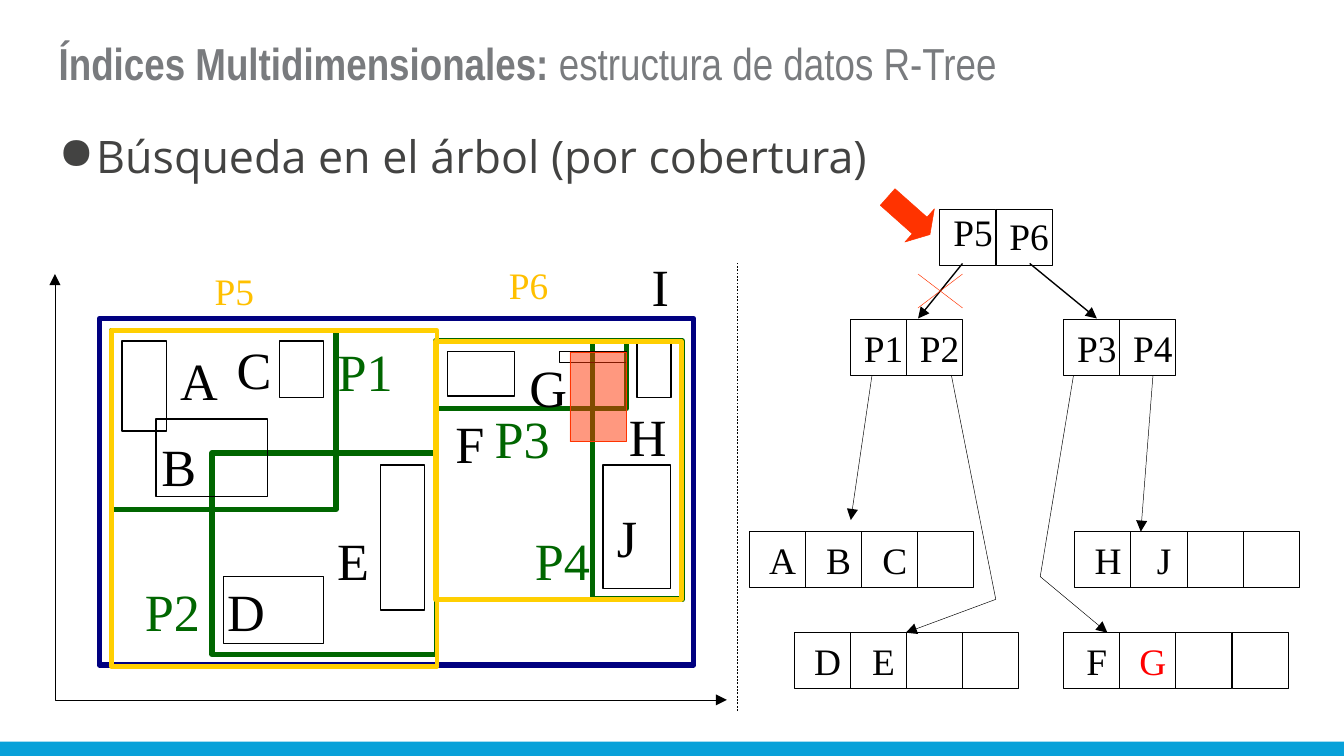
import itertools
from dataclasses import dataclass

import pptx
import pptx.dml.color
import pptx.enum.dml
import pptx.enum.shapes
import pptx.enum.text
import pptx.oxml.ns
import pptx.util
from lxml import etree

Cm, Pt = pptx.util.Cm, pptx.util.Pt
qn = pptx.oxml.ns.qn
Shape = pptx.enum.shapes.MSO_SHAPE


@dataclass(frozen=True)
class Theme:
    title_grey: str = "797B7E"
    body_grey: str = "434342"
    black: str = "000000"
    green: str = "006600"
    navy: str = "000080"
    yellow: str = "FFCF01"
    amber: str = "FFC000"
    orange: str = "FF3300"
    red: str = "FF0000"
    footer_blue: str = "08A1D9"
    title_font: str = "Arial Narrow"
    body_font: str = "Open Sans"
    label_font: str = "Times New Roman"
    heading_size: int = 24
    key_size: int = 20
    region_size: int = 28
    hairline: float = 0.25
    thin: float = 0.75
    medium: float = 2.5
    thick: float = 3


THEME = Theme()
CELL = 1.06  # side of a tree node cell, cm
GLYPH_WIDTHS = {"A": 0.72, "B": 0.67, "C": 0.67, "D": 0.72, "E": 0.61, "F": 0.56,
                "G": 0.72, "H": 0.72, "I": 0.33, "J": 0.39, "P": 0.56}
DIGIT_WIDTH = 0.5


def rgb(color):
    return pptx.dml.color.RGBColor.from_string(color)


def add_text(paragraph, text, *, size, font, color, bold=False):
    run = paragraph.add_run()
    run.text = text
    run.font.size = Pt(size)
    run.font.name = font
    run.font.bold = bold
    run.font.color.rgb = rgb(color)


class Diagram:
    def __init__(self, slide, theme):
        self.slide = slide
        self.theme = theme

    def style_line(self, line, color, width):
        line.color.rgb = rgb(color)
        line.width = Pt(width)

    def add_arrowheads(self, line, ends):
        for end in ends:
            etree.SubElement(line._get_or_add_ln(), qn(f"a:{end}"), type="triangle")

    def shape(self, left, top, width, height, *, kind=Shape.RECTANGLE,
              fill=None, line=None, weight=THEME.hairline):
        shape = self.slide.shapes.add_shape(kind, Cm(left), Cm(top), Cm(width), Cm(height))
        shape.shadow.inherit = False
        if fill:
            shape.fill.solid()
            shape.fill.fore_color.rgb = rgb(fill)
        else:
            shape.fill.background()
        if line:
            self.style_line(shape.line, line, weight)
        else:
            shape.line.fill.background()
        return shape

    def line(self, start, end, *, color=THEME.black, weight=THEME.hairline,
             dash=None, ends=()):
        connector = self.slide.shapes.add_connector(
            pptx.enum.shapes.MSO_CONNECTOR.STRAIGHT, *map(Cm, start + end))
        etree.SubElement(connector._element.spPr, qn("a:effectLst"))
        self.style_line(connector.line, color, weight)
        if dash:
            connector.line.dash_style = dash
        self.add_arrowheads(connector.line, ends)

    def polyline(self, start, *points, ends=("tailEnd",)):
        builder = self.slide.shapes.build_freeform(*map(Cm, start))
        builder.add_line_segments([tuple(map(Cm, point)) for point in points], close=False)
        bend = builder.convert_to_shape()
        bend.shadow.inherit = False
        bend.fill.background()
        self.style_line(bend.line, self.theme.black, self.theme.hairline)
        self.add_arrowheads(bend.line, ends)

    def text_box(self, left, top, width, height, *, margins=(0.25, 0.25), wrap=True):
        box = self.slide.shapes.add_textbox(Cm(left), Cm(top), Cm(width), Cm(height))
        frame = box.text_frame
        frame.word_wrap = wrap
        frame.margin_left = frame.margin_right = Cm(margins[0])
        frame.margin_top = frame.margin_bottom = Cm(margins[1])
        return frame

    def label(self, text, x, y, *, size, color=THEME.black):
        """Place text in a box that fits it, centred on x, y."""
        em = size / 72 * 2.54
        width = em * sum(GLYPH_WIDTHS.get(glyph, DIGIT_WIDTH) for glyph in text) + 0.5
        height = em * 1.2 + 0.25
        frame = self.text_box(x - width / 2, y - height / 2, width, height,
                              margins=(0.25, 0.13), wrap=False)
        frame.auto_size = pptx.enum.text.MSO_AUTO_SIZE.SHAPE_TO_FIT_TEXT
        frame.vertical_anchor = pptx.enum.text.MSO_ANCHOR.MIDDLE
        paragraph = frame.paragraphs[0]
        paragraph.alignment = pptx.enum.text.PP_ALIGN.CENTER
        add_text(paragraph, text, size=size, font=self.theme.label_font, color=color)

    def node(self, left, top, keys, slots, *, lifts=(), found=()):
        for slot in range(slots):
            self.shape(left + slot * CELL, top, CELL, CELL, line=self.theme.black)
        for slot, (key, lift) in enumerate(itertools.zip_longest(keys, lifts, fillvalue=0)):
            self.label(key, left + (slot + 0.5) * CELL + 0.1, top + CELL / 2 - lift,
                       size=self.theme.key_size,
                       color=self.theme.red if key in found else self.theme.black)


def main():
    deck = pptx.Presentation()
    deck.slide_width, deck.slide_height = Cm(25.4), Cm(14.29)
    diagram = Diagram(deck.slides.add_slide(deck.slide_layouts[6]), THEME)
    diagram.shape(0, 14.02, 25.4, 0.27, fill=THEME.footer_blue)

    # Title and heading
    title = diagram.text_box(0.86, 0.43, 23.67, 1.75).paragraphs[0]
    title_format = dict(size=THEME.heading_size, font=THEME.title_font, color=THEME.title_grey)
    add_text(title, "Índices Multidimensionales: ", bold=True, **title_format)
    add_text(title, "estructura de datos R-Tree", **title_format)

    heading = diagram.text_box(0.86, 2.18, 23.67, 1.9).paragraphs[0]
    properties = heading._p.get_or_add_pPr()
    properties.set("marL", str(Cm(0.71)))
    properties.set("indent", str(-Cm(0.71)))
    bullet_color = etree.SubElement(properties, qn("a:buClr"))
    etree.SubElement(bullet_color, qn("a:srgbClr"), val=THEME.body_grey)
    etree.SubElement(properties, qn("a:buChar"), char="●")
    heading.space_after = Pt(6)
    add_text(heading, "Búsqueda en el árbol (por cobertura)", size=THEME.heading_size,
             font=THEME.body_font, color=THEME.body_grey)

    # Tree nodes
    diagram.node(17.76, 3.96, ("P5", "P6"), 2, lifts=(0.11, 0.04))
    diagram.node(16.07, 6.03, ("P1", "P2"), 2)
    diagram.node(20.1, 6.03, ("P3", "P4"), 2)
    diagram.node(14.16, 10.05, "ABC", 4)
    diagram.node(15.01, 11.96, "DE", 4)
    diagram.node(20.31, 10.05, "HJ", 4)
    diagram.node(20.1, 11.96, "FG", 4, found="G")

    # Tree links and the arrow that marks the root
    for start, end, weight in (((18.19, 4.98), (17.35, 6.02), THEME.thin),
                               ((19.46, 4.98), (20.73, 6.02), THEME.thin),
                               ((16.48, 7.09), (16.08, 9.83), THEME.hairline),
                               ((21.79, 7.09), (21.56, 10.05), THEME.hairline)):
        diagram.line(start, end, weight=weight, ends=("tailEnd",))
    diagram.polyline((17.98, 7.09), (18.82, 11.33), (17.12, 11.96))
    diagram.polyline((20.29, 7.09), (19.66, 10.9), (20.93, 11.96))
    root_arrow = diagram.shape(16.64, 3.66, 1.07, 0.84, kind=Shape.RIGHT_ARROW,
                               fill=THEME.orange, line=THEME.orange)
    root_arrow.rotation = 41.6
    root_arrow.adjustments[1] = 0.31

    # Leaf page regions, then object rectangles
    for region in ((2.11, 6.25, 4.24, 3.38), (11.2, 6.45, 1.7, 4.88),
                   (4.01, 8.56, 4.24, 3.81), (8.23, 6.45, 3.61, 1.27)):
        diagram.shape(*region, line=THEME.green, weight=THEME.thick)
    for item in ((2.31, 6.45, 0.84, 1.7), (5.28, 6.45, 0.84, 1.07),
                 (2.95, 7.92, 2.11, 1.47), (4.22, 10.9, 1.9, 1.27),
                 (7.19, 8.79, 0.84, 2.74), (8.46, 6.65, 1.27, 0.84),
                 (11.4, 8.79, 1.27, 2.34), (12.04, 6.45, 0.64, 1.07),
                 (10.57, 6.65, 1.27, 0.2)):
        diagram.shape(*item, line=THEME.black, weight=THEME.thin)
    diagram.shape(1.88, 6.02, 11.23, 6.55, line=THEME.navy, weight=THEME.thick)

    # Axes and divider
    diagram.polyline((1.04, 5.18), (1.04, 13.23), (13.74, 13.23), ends=("headEnd", "tailEnd"))
    diagram.line((13.94, 13.44), (13.94, 4.98), dash=pptx.enum.dml.MSO_LINE.DASH)

    # Region labels
    for text, x, y in (("A", 3.76, 7.18), ("B", 3.38, 8.8), ("C", 4.8, 6.97),
                       ("D", 4.65, 11.54), ("E", 6.67, 10.58), ("F", 8.88, 8.37),
                       ("G", 10.36, 7.3), ("H", 12.24, 8.24), ("I", 12.48, 5.4),
                       ("J", 11.85, 10.15), ("P1", 6.9, 7), ("P2", 3.26, 11.54),
                       ("P3", 9.87, 8.27), ("P4", 10.63, 10.58)):
        diagram.label(text, x, y, size=THEME.region_size,
                      color=THEME.green if text[0] == "P" else THEME.black)
    for text, x, y in (("P5", 4.43, 5.49), ("P6", 9.99, 5.38)):
        diagram.label(text, x, y, size=THEME.key_size, color=THEME.amber)

    # Query window, upper regions and the discarded branch
    query = diagram.shape(10.77, 6.65, 1.07, 1.7, fill=THEME.orange, line=THEME.orange)
    query_color = query._element.spPr.find(qn("a:solidFill"))[0]
    etree.SubElement(query_color, qn("a:alpha"), val="50000")
    for region in ((2.11, 6.25, 6.15, 6.35), (8.23, 6.45, 4.65, 4.88)):
        diagram.shape(*region, line=THEME.yellow, weight=THEME.medium)
    for start, end in (((18.19, 5.18), (17.35, 5.82)), ((17.35, 5.18), (18.19, 5.82))):
        diagram.line(start, end, color=THEME.orange)

    deck.save("out.pptx")


if __name__ == "__main__":
    main()
